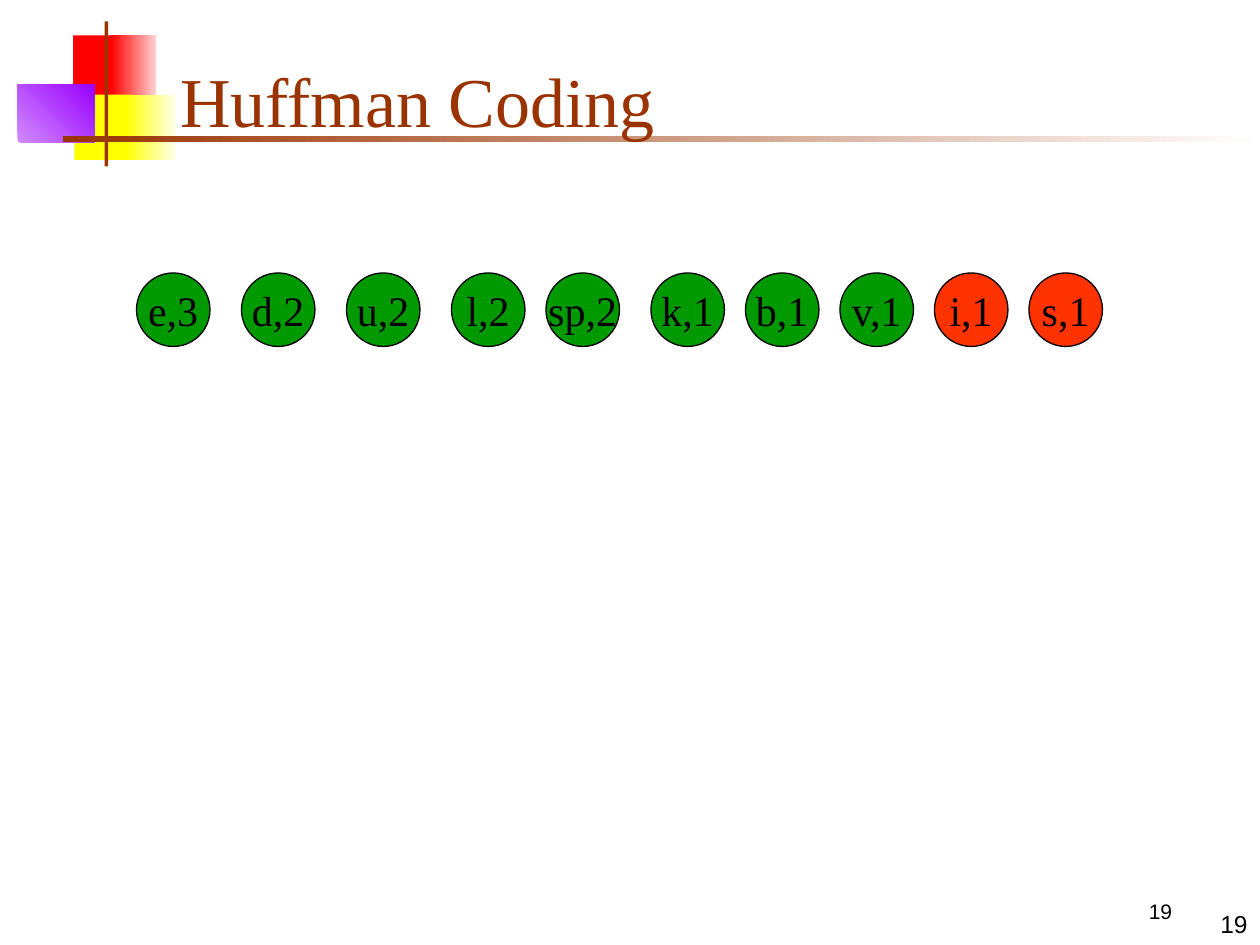
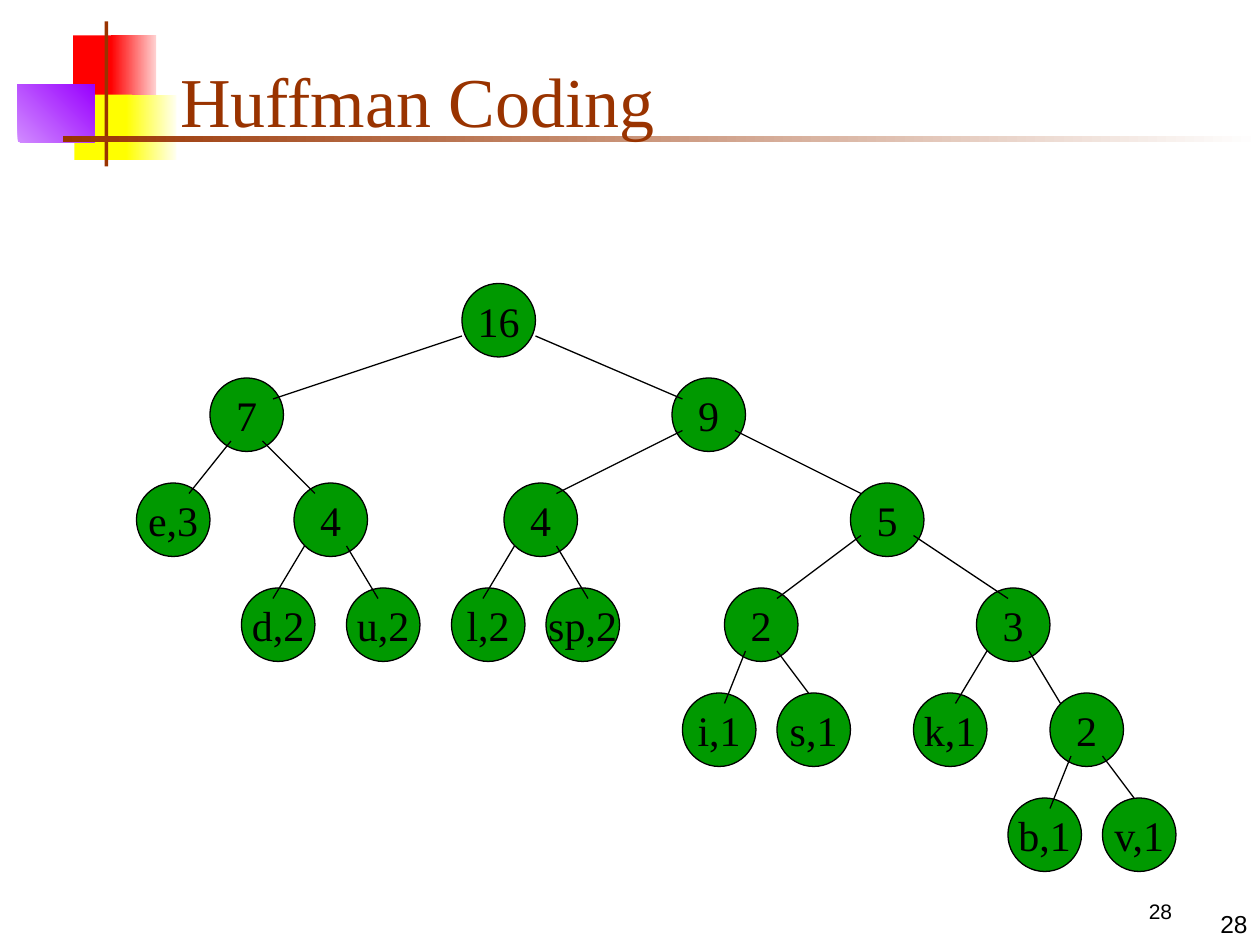
from dataclasses import dataclass

from lxml.etree import SubElement
from pptx import Presentation
from pptx.dml.color import RGBColor
from pptx.enum.shapes import MSO_CONNECTOR as Line, MSO_SHAPE as Shape
from pptx.enum.text import MSO_ANCHOR as Anchor, MSO_AUTO_SIZE as AutoSize, PP_ALIGN as Align
from pptx.oxml.ns import qn
from pptx.util import Inches, Pt


@dataclass(frozen=True)
class Theme:
    serif: str = "Times New Roman"
    sans: str = "Arial"
    ink: str = "000000"
    brown: str = "993300"
    green: str = "009900"
    orange: str = "FF3300"
    title_size: int = 40
    node_size: int = 24
    corner_size: int = 14
    footer_size: int = 12
    line_width: float = 0.75


THEME = Theme()
TITLE = "Huffman Coding"
TITLE_AREA = (1.33, 0.25, 8.52, 0.92)

# left, top, width, height, colours, gradient angle
DECORATION = [
    (0.58, 0.28, 0.35, 0.52, ["FF0000"], 0),
    (0.88, 0.28, 0.36, 0.52, ["FF0000", "FFD1D1"], 0),
    (0.59, 0.75, 0.46, 0.52, ["FFFF00"], 0),
    (1, 0.75, 0.4, 0.52, ["FFFF00", "FFFFF0"], 0),
    (0.14, 0.67, 0.61, 0.46, ["D18BFF", "9900FF"], 45),
    (0.83, 0.17, 0.03, 1.15, [THEME.brown], 0),
    (0.5, 1.08, 9.5, 0.05, [THEME.brown, "FFFFFF"], 0),
]

PAGE_NUMBERS = [
    ((8.67, 7.08, 1.08, 0.33), Align.CENTER, Anchor.TOP, THEME.footer_size),
    ((7.92, 7, 2.08, 0.5), Align.RIGHT, Anchor.BOTTOM, THEME.corner_size),
]

GRID = 12
NODE_SPAN = 7
QUEUE_TOP = 26
QUEUE = [("e,3", 13), ("d,2", 23), ("u,2", 33), ("l,2", 43), ("sp,2", 52),
         ("k,1", 62), ("b,1", 71), ("v,1", 80), ("i,1", 89), ("s,1", 98)]
SMALLEST = {"i,1", "s,1"}

LEVEL_TOPS = [27, 36, 46, 56, 66, 76]
# key: label, level, left
NODES = {
    "root": ("16", 0, 44),
    "seven": ("7", 1, 20),
    "nine": ("9", 1, 64),
    "e": ("e,3", 2, 13),
    "du": ("4", 2, 28),
    "lsp": ("4", 2, 48),
    "five": ("5", 2, 81),
    "d": ("d,2", 3, 23),
    "u": ("u,2", 3, 33),
    "l": ("l,2", 3, 43),
    "sp": ("sp,2", 3, 52),
    "is": ("2", 3, 69),
    "three": ("3", 3, 93),
    "i": ("i,1", 4, 65),
    "s": ("s,1", 4, 74),
    "k": ("k,1", 4, 87),
    "bv": ("2", 4, 100),
    "b": ("b,1", 5, 96),
    "v": ("v,1", 5, 105),
}
# parent, child, offset inside parent, offset inside child
BRANCHES = [
    ("root", "seven", (0, 5), (6, 2)),
    ("root", "nine", (7, 5), (1, 2)),
    ("seven", "e", (2, 6), (5, 1)),
    ("seven", "du", (5, 6), (2, 1)),
    ("nine", "lsp", (1, 5), (5, 1)),
    ("nine", "five", (6, 5), (1, 1)),
    ("du", "d", (1, 6), (3, 1)),
    ("du", "u", (5, 6), (3, 1)),
    ("lsp", "l", (1, 6), (3, 1)),
    ("lsp", "sp", (5, 6), (4, 1)),
    ("five", "is", (1, 5), (5, 1)),
    ("five", "three", (6, 5), (3, 1)),
    ("is", "i", (2, 6), (4, 1)),
    ("is", "s", (5, 6), (3, 0)),
    ("three", "k", (1, 6), (4, 1)),
    ("three", "bv", (5, 6), (1, 1)),
    ("bv", "b", (2, 6), (4, 1)),
    ("bv", "v", (5, 6), (3, 0)),
]


def color(value):
    return RGBColor.from_string(value)


def grid(units):
    return Inches(units / GRID)


def write(shape, text, size, font, ink, align, anchor, wrap=True):
    frame = shape.text_frame
    frame.text = text
    frame.word_wrap = wrap
    frame.auto_size = AutoSize.NONE
    frame.vertical_anchor = anchor
    para = frame.paragraphs[0]
    para.alignment = align
    span = para.runs[0]
    span.font.size = Pt(size)
    span.font.name = font
    span.font.color.rgb = color(ink)


def decorate(page, layout):
    for *area, colors, angle in DECORATION:
        block = page.shapes.add_shape(Shape.RECTANGLE, *map(Inches, area))
        block.shadow.inherit = False
        block.line.fill.background()
        if len(colors) == 1:
            block.fill.solid()
            block.fill.fore_color.rgb = color(colors[0])
        else:
            block.fill.gradient()
            block.fill.gradient_angle = angle
            for stop, value in zip(block.fill.gradient_stops, colors):
                stop.color.rgb = color(value)
        layout.shapes.element.append(block.element)


def add_page(deck, layout, number):
    page = deck.slides.add_slide(layout)
    title = page.shapes.title
    title.left, title.top, title.width, title.height = map(Inches, TITLE_AREA)
    write(title, TITLE, THEME.title_size, THEME.serif, THEME.brown, Align.LEFT, Anchor.BOTTOM)
    for area, align, anchor, size in PAGE_NUMBERS:
        box = page.shapes.add_textbox(*map(Inches, area))
        write(box, number, size, THEME.sans, THEME.ink, align, anchor)
    return page


def add_node(page, label, left, top, fill=THEME.green):
    node = page.shapes.add_shape(Shape.OVAL, *map(grid, (left, top, NODE_SPAN, NODE_SPAN)))
    node.shadow.inherit = False
    node.fill.solid()
    node.fill.fore_color.rgb = color(fill)
    node.line.color.rgb = color(THEME.ink)
    node.line.width = Pt(THEME.line_width)
    write(node, label, THEME.node_size, THEME.serif, THEME.ink,
          Align.CENTER, Anchor.MIDDLE, wrap=False)


def add_branch(page, parent, child, leave, arrive):
    points = []
    for key, (across, down) in ((parent, leave), (child, arrive)):
        label, level, left = NODES[key]
        points += [left + across, LEVEL_TOPS[level] + down]
    branch = page.shapes.add_connector(Line.STRAIGHT, *map(grid, points))
    branch.line.color.rgb = color(THEME.ink)
    branch.line.width = Pt(THEME.line_width)
    SubElement(branch.element.spPr, qn("a:effectLst"))


def main():
    deck = Presentation()
    deck.slide_width, deck.slide_height = Inches(10), Inches(7.5)
    layout = deck.slide_layouts.get_by_name("Title Only")

    queue_page = add_page(deck, layout, "19")
    decorate(queue_page, layout)
    for label, left in QUEUE:
        fill = THEME.orange if label in SMALLEST else THEME.green
        add_node(queue_page, label, left, QUEUE_TOP, fill)

    tree_page = add_page(deck, layout, "28")
    for label, level, left in NODES.values():
        add_node(tree_page, label, left, LEVEL_TOPS[level])
    for branch in BRANCHES:
        add_branch(tree_page, *branch)

    deck.save("out.pptx")


if __name__ == "__main__":
    main()
